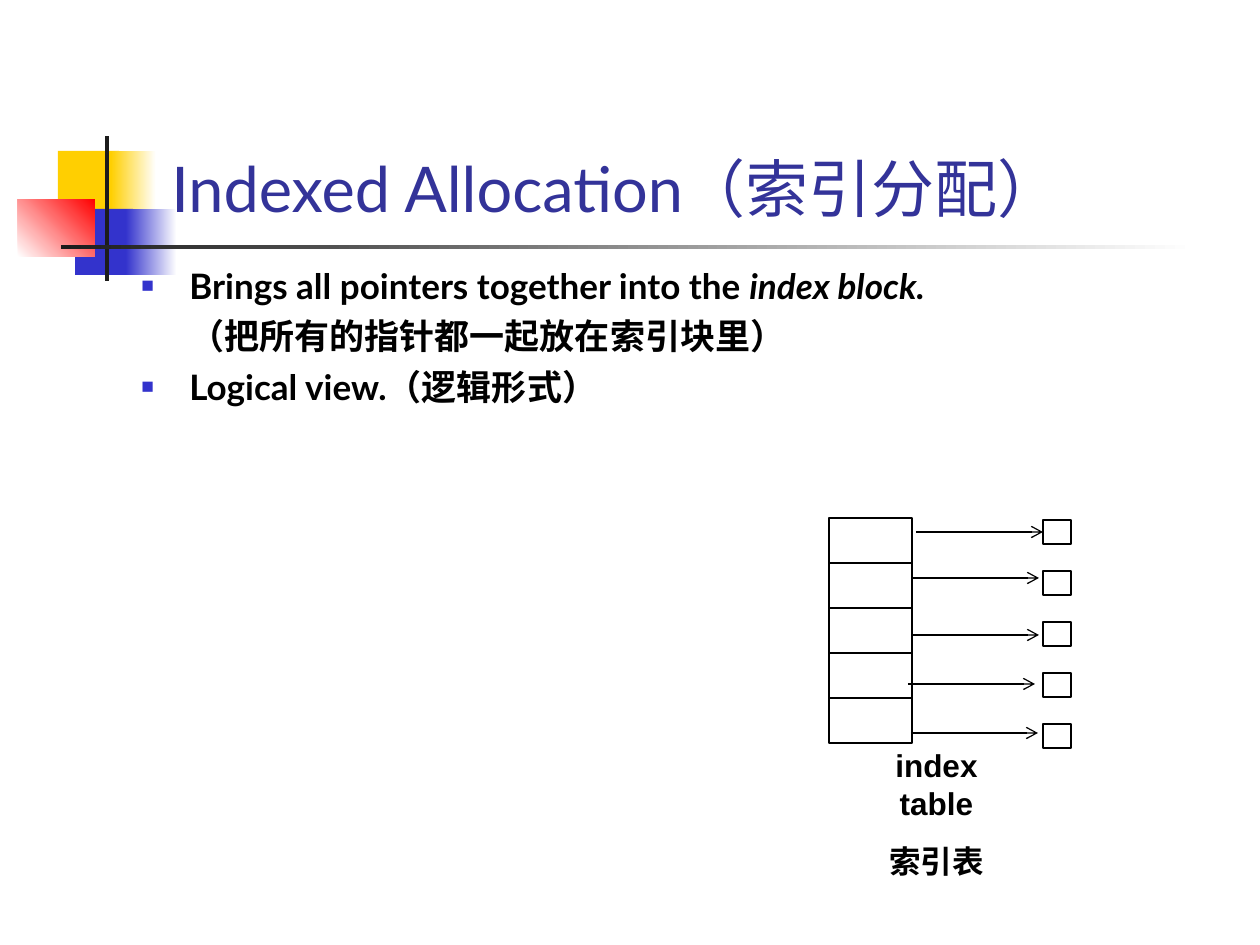
from dataclasses import dataclass

from lxml import etree
from pptx import Presentation
from pptx.dml.color import RGBColor
from pptx.enum.shapes import MSO_CONNECTOR, MSO_SHAPE
from pptx.enum.text import MSO_ANCHOR, MSO_AUTO_SIZE, PP_ALIGN
from pptx.oxml.ns import qn
from pptx.util import Pt

RECT = MSO_SHAPE.RECTANGLE
STRAIGHT = MSO_CONNECTOR.STRAIGHT
LEFT, CENTER = PP_ALIGN.LEFT, PP_ALIGN.CENTER
TOP, MIDDLE, BOTTOM = MSO_ANCHOR.TOP, MSO_ANCHOR.MIDDLE, MSO_ANCHOR.BOTTOM
FIT_SHAPE = MSO_AUTO_SIZE.SHAPE_TO_FIT_TEXT
EMU_PER_PX = 914400 / 126


@dataclass(frozen=True)
class Theme:
    yellow: str = "FFCF01"
    blue: str = "3333CC"
    red: str = "FF0000"
    rule: str = "1C1C1C"
    white: str = "FFFFFF"
    black: str = "000000"
    title: str = "333399"
    font: str = "Lato"
    label_font: str = "Arial"
    title_size: int = 36
    body_size: int = 20
    label_size: int = 18
    line: float = 0.75


THEME = Theme()


def px(n):
    return round(n * EMU_PER_PX)


def rgb(value):
    return RGBColor.from_string(value)


def add_rect(s, x, y, w, h, fill, fade=None, angle=0, line=None):
    sp = s.shapes.add_shape(RECT, px(x), px(y), px(w), px(h))
    sp.shadow.inherit = False
    if fade:
        sp.fill.gradient()
        sp.fill.gradient_angle = angle
        for stop, color in zip(sp.fill.gradient_stops, (fill, fade)):
            stop.color.rgb = rgb(color)
    else:
        sp.fill.solid()
        sp.fill.fore_color.rgb = rgb(fill)
    if line:
        sp.line.color.rgb = rgb(line)
        sp.line.width = Pt(THEME.line)
    else:
        sp.line.fill.background()


def add_arrow(s, x, y, length):
    c = s.shapes.add_connector(STRAIGHT, px(x), px(y), px(x + length), px(y))
    c.line.color.rgb = rgb(THEME.black)
    c.line.width = Pt(THEME.line)
    etree.SubElement(c.line._get_or_add_ln(), qn("a:tailEnd"), type="arrow")
    etree.SubElement(c._element.spPr, qn("a:effectLst"))


def set_indent(p, indent, bullet):
    pPr = p._p.get_or_add_pPr()
    pPr.set("marL", str(px(indent)))
    pPr.set("indent", str(px(-indent if bullet else 0)))
    if bullet:
        color = etree.SubElement(pPr, qn("a:buClr"))
        etree.SubElement(color, qn("a:srgbClr"), val=THEME.blue)
        etree.SubElement(pPr, qn("a:buSzPct"), val="60000")
        etree.SubElement(pPr, qn("a:buFont"), typeface=THEME.label_font)
        etree.SubElement(pPr, qn("a:buChar"), char="■")


def add_text(s, box, paragraphs, size, color=THEME.black, font=THEME.font, bold=False,
             align=LEFT, anchor=TOP, before=0, indent=0, bullets=(), wrap=True):
    sp = s.shapes.add_textbox(*map(px, box))
    tf = sp.text_frame
    tf.word_wrap = wrap
    tf.vertical_anchor = anchor
    if not wrap:
        tf.auto_size = FIT_SHAPE
    for i, runs in enumerate(paragraphs):
        p = tf.paragraphs[0] if i == 0 else tf.add_paragraph()
        p.alignment = align
        p.space_before = Pt(before)
        if indent:
            set_indent(p, indent, i in bullets)
        for text, italic in runs:
            r = p.add_run()
            r.text = text
            r.font.name = font
            r.font.size = Pt(size)
            r.font.bold = bold
            r.font.italic = italic
            r.font.color.rgb = rgb(color)


def add_ornament(s, x, y):
    t = THEME
    add_rect(s, x + 40, y + 15, 61, 66, t.yellow)
    add_rect(s, x + 93, y + 15, 45, 66, t.yellow, fade=t.white)
    add_rect(s, x + 57, y + 73, 58, 66, t.blue)
    add_rect(s, x + 108, y + 73, 51, 66, t.blue, fade=t.white)
    add_rect(s, x, y + 63, 77, 58, t.white, fade=t.red, angle=45)
    add_rect(s, x + 87, y, 4, 145, t.rule)
    add_rect(s, x + 43, y + 109, 1134, 4, t.rule, fade=t.white)


def add_title(s, box):
    add_text(s, box, [[("Indexed Allocation（索引分配）", False)]],
             THEME.title_size, color=THEME.title, anchor=BOTTOM)


def add_body(s, box):
    paragraphs = [
        [("Brings all pointers together into the ", False), ("index block.", True)],
        [("（把所有的指针都一起放在索引块里）", False)],
        [("Logical view.（逻辑形式）", False)],
    ]
    add_text(s, box, paragraphs, THEME.body_size, bold=True, before=5,
             indent=48, bullets=(0, 2))


def add_index_diagram(s, x, y):
    cell_w, cell_h = 83, 45
    block_w, block_h, block_pitch = 28, 24, 51
    arrow_starts = [(87, 14), (83, 60), (83, 117), (79, 166), (82, 215)]
    rows = range(len(arrow_starts))
    for i in rows:
        add_rect(s, x, y + i * cell_h, cell_w, cell_h, THEME.white, line=THEME.black)
    for i in rows:
        add_rect(s, x + 214, y + 2 + i * block_pitch, block_w, block_h,
                 THEME.white, line=THEME.black)
    for dx, dy in arrow_starts:
        add_arrow(s, x + dx, y + dy, 127)
    add_text(s, (x + 13, y + 241, 189, 108),
             [[("index table", False)], [("索引表", False)]],
             THEME.label_size, font=THEME.label_font, bold=True,
             align=CENTER, anchor=MIDDLE, before=11.2, wrap=False)


def main():
    prs = Presentation()
    prs.slide_width, prs.slide_height = px(1260), px(945)
    s = prs.slides.add_slide(prs.slide_layouts[6])
    add_ornament(s, 18, 136)
    add_title(s, (159, 29, 1074, 202))
    add_body(s, (129, 258, 969, 450))
    add_index_diagram(s, 829, 518)
    prs.save("out.pptx")


if __name__ == "__main__":
    main()
